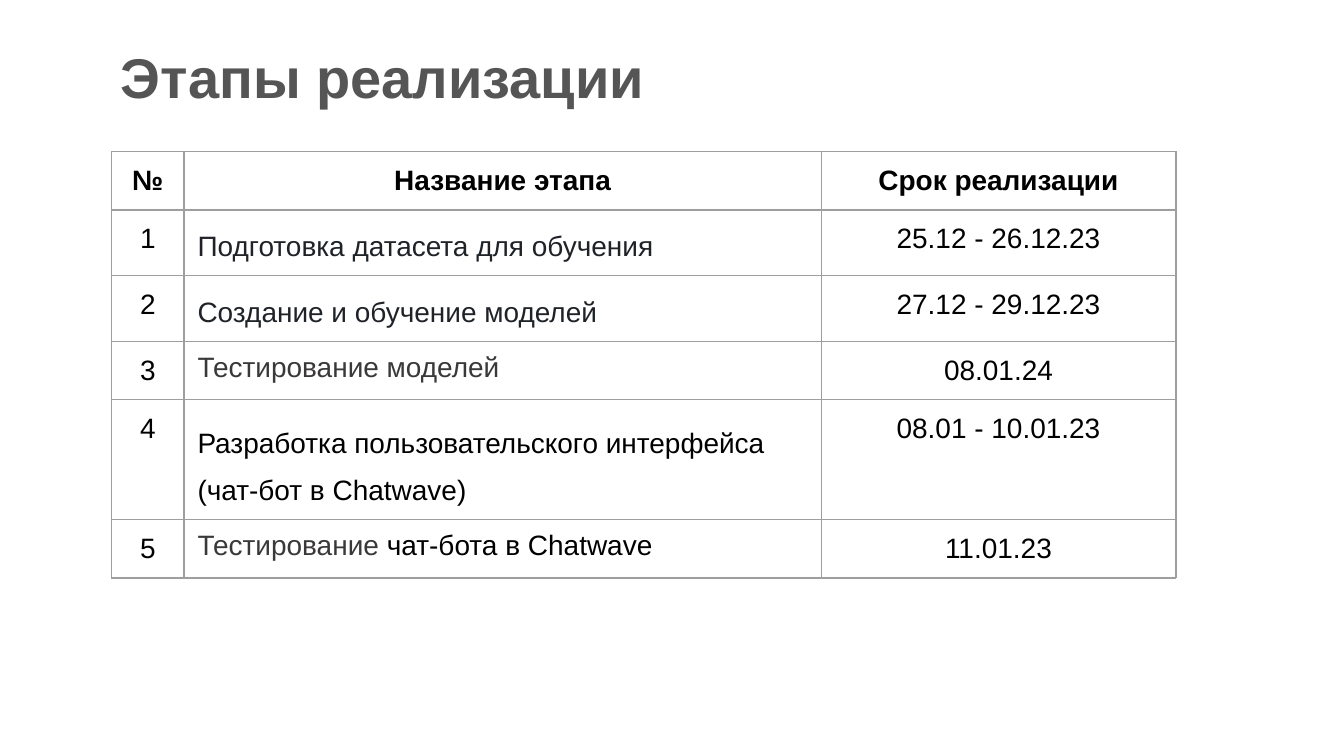
from lxml import etree
from pptx import Presentation
from pptx.dml.color import RGBColor
from pptx.enum.text import MSO_ANCHOR, PP_ALIGN
from pptx.oxml.ns import qn
from pptx.util import Inches, Pt

LEFT, CENTER = PP_ALIGN.LEFT, PP_ALIGN.CENTER
MIDDLE, TOP = MSO_ANCHOR.MIDDLE, MSO_ANCHOR.TOP
FONT = "Arial"
COLORS = {
    "title": "555555",
    "text": "000000",
    "ink": "1F2328",
    "gray": "3A3838",
    "border": "9E9E9E",
}


def format_run(run, size, color, bold=False):
    run.font.name = FONT
    run.font.size = Pt(size)
    run.font.bold = bold
    run.font.color.rgb = RGBColor.from_string(COLORS[color])


def add_borders(cell):
    properties = cell._tc.get_or_add_tcPr()
    for position, side in enumerate(("a:lnL", "a:lnR", "a:lnT", "a:lnB")):
        line = etree.Element(qn(side), w=str(Pt(0.75)))
        fill = etree.SubElement(line, qn("a:solidFill"))
        etree.SubElement(fill, qn("a:srgbClr"), val=COLORS["border"])
        properties.insert(position, line)


presentation = Presentation()
presentation.slide_width = Inches(10)
presentation.slide_height = Inches(10 * 9 / 16)
slide = presentation.slides.add_slide(presentation.slide_layouts[5])

title = slide.shapes.title
title.left, title.top = Inches(0.83), Inches(0.05)
title.width, title.height = Inches(8.62), Inches(1.09)
title_frame = title.text_frame
title_frame.margin_left = title_frame.margin_right = Inches(0.07)
title_frame.margin_top = title_frame.margin_bottom = Inches(0.04)
title_frame.vertical_anchor = MIDDLE
title_frame.text = "Этапы реализации"
title_frame.paragraphs[0].alignment = LEFT
title_frame.paragraphs[0].line_spacing = 0.9
format_run(title_frame.paragraphs[0].runs[0], 30, "title", bold=True)

# Each stage: coloured pieces of its name, line spacing, dates, row height
stages = [
    ([("Подготовка датасета для обучения", "ink")], 1.25, "25.12 - 26.12.23", 0.49),
    ([("Создание и обучение моделей", "ink")], 1.25, "27.12 - 29.12.23", 0.49),
    ([("Тестирование моделей", "gray")], 0.9, "08.01.24", 0.43),
    ([("Разработка пользовательского интерфейса (чат-бот в Chatwave)", "text")],
     1.5, "08.01 - 10.01.23", 0.89),
    ([("Тестирование ", "gray"), ("чат-бота в Chatwave", "text")],
     0.9, "11.01.23", 0.43),
]
header_height = 0.43
column_widths = [0.54, 4.74, 2.64]
row_heights = [header_height] + [stage[3] for stage in stages]

table = slide.shapes.add_table(
    len(row_heights), len(column_widths), Inches(0.83), Inches(1.13),
    Inches(sum(column_widths)), Inches(sum(row_heights))).table
table.first_row = False
table.horz_banding = False
for column, width in zip(table.columns, column_widths):
    column.width = Inches(width)
for row, height in zip(table.rows, row_heights):
    row.height = Inches(height)

rows = [[[("№", "text")], [("Название этапа", "text")], [("Срок реализации", "text")]]]
for number, (name, spacing, dates, height) in enumerate(stages, start=1):
    rows.append([[(str(number), "text")], name, [(dates, "text")]])

for row_index, row in enumerate(rows):
    is_header = row_index == 0
    for column_index, pieces in enumerate(row):
        cell = table.cell(row_index, column_index)
        cell.fill.background()
        add_borders(cell)
        cell.margin_left = cell.margin_right = Inches(0.1)
        cell.margin_top = cell.margin_bottom = Inches(0.1)
        cell.vertical_anchor = TOP
        paragraph = cell.text_frame.paragraphs[0]
        if column_index == 1 and not is_header:
            paragraph.alignment = LEFT
            paragraph.line_spacing = stages[row_index - 1][1]
        else:
            paragraph.alignment = CENTER
        for text, color in pieces:
            run = paragraph.add_run()
            run.text = text
            format_run(run, 15, color, bold=is_header)

presentation.save("out.pptx")
